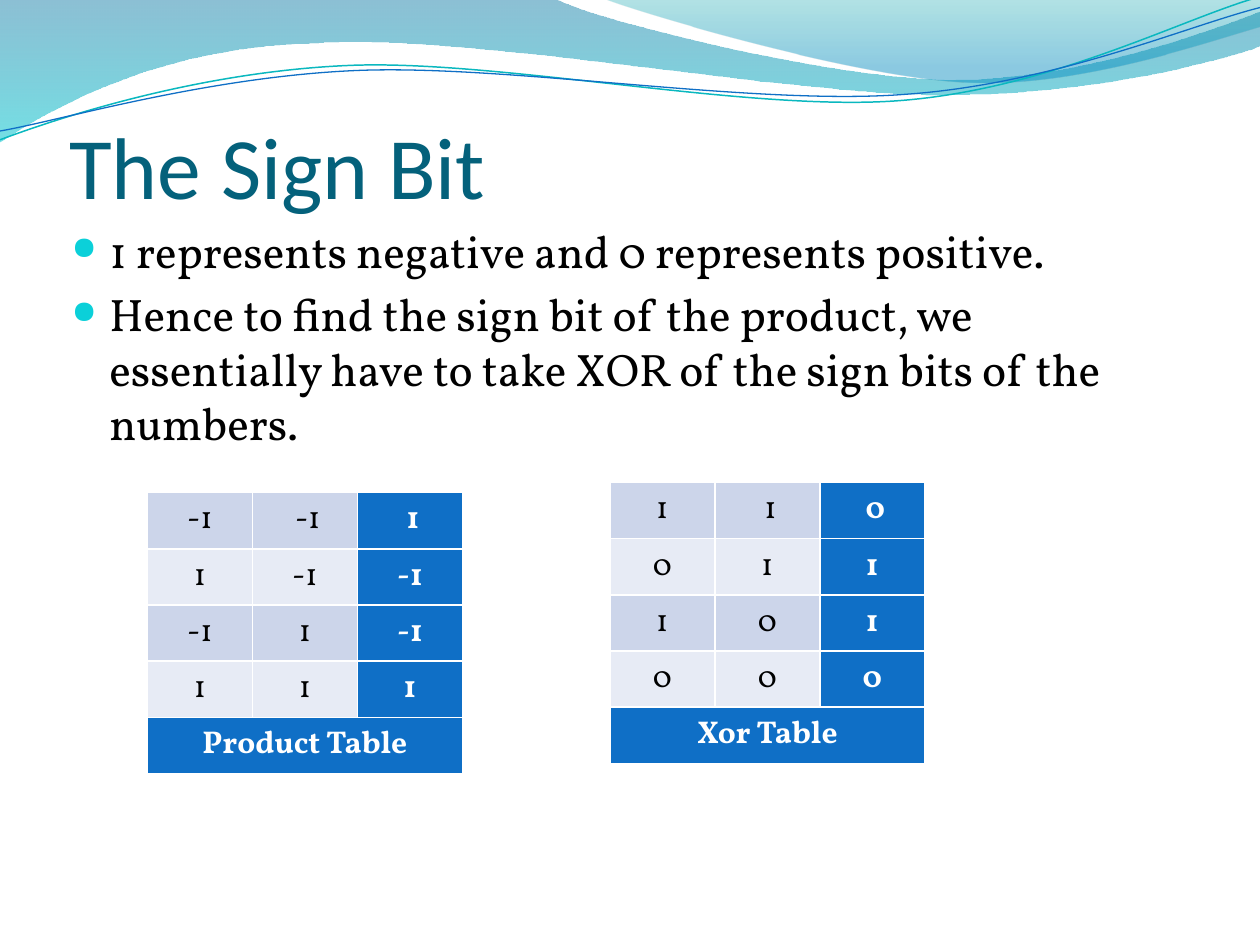
"""Build the sign bit slide: wave header, two bullets and two truth tables."""
from lxml import etree
from pptx import Presentation
from pptx.dml.color import RGBColor
from pptx.enum.text import MSO_ANCHOR, PP_ALIGN
from pptx.oxml.ns import qn
from pptx.util import Inches, Pt

BOTTOM, TOP = MSO_ANCHOR.BOTTOM, MSO_ANCHOR.TOP
CENTER = PP_ALIGN.CENTER

COLORS = {
    "title": "04617B", "text": "000000", "bullet": "0BD0D9", "white": "FFFFFF",
    "blue": "0F6FC6", "teal": "0AB8BF", "band": "CCD5EA", "pale": "E7EBF5",
    "deep": "0074A1", "aqua": "00C6CF", "sea": "00A1A9", "sky": "008BBF",
}
TITLE_FONT, BODY_FONT = "Calibri", "Vollkorn"

TITLE = "The Sign Bit"
BULLETS = [
    "1 represents negative and 0 represents positive.",
    "Hence to find the sign bit of the product, we essentially have to take "
    "XOR of the sign bits of the numbers.",
]
TABLES = [
    {"at": (1.17, 3.91), "caption": "Product Table",
     "rows": [("-1", " -1", " 1"), ("1", "-1", "-1"), ("-1", "1", "-1"), ("1", "1", "1")]},
    {"at": (4.84, 3.83), "caption": "Xor Table",
     "rows": [("1", " 1", " 0"), ("0", "1", "1"), ("1", "0", "1"), ("0", "0", "0")]},
]
TABLE_WIDTH, TABLE_HEIGHT = 2.5, 2.23

WAVES = [
    {"start": (0, 0),
     "path": [(4.4, -0.01), (4.76, 0.17, 6.64, 0.63, 7.58, 0.63),
              (8.53, 0.63, 9.58, 0.26, 10, 0.09), (10.01, 0.36),
              (9.83, 0.44, 8.7, 0.76, 7.46, 0.75), (6.22, 0.75, 3.82, 0.28, 2.57, 0.34),
              (1.29, 0.36, 0.46, 0.83, -0.01, 1.13), (0, 0)],
     "stops": [(0, "deep", 45), (1, "aqua", 55)]},
    {"start": (4.79, -0.01),
     "path": [(5.09, 0.11, 6.82, 0.62, 7.69, 0.65), (8.56, 0.69, 9.61, 0.32, 10, 0.21),
              (10, 0), (4.79, -0.01)],
     "stops": [(0, "sea", 30), (0.8, "sky", 45)]},
    {"start": (0, 1.11),
     "path": [(0.48, 0.93, 1.58, 0.57, 2.77, 0.52), (3.95, 0.47, 5.93, 0.89, 7.13, 0.8),
              (8.33, 0.71, 9.38, 0.15, 9.98, -0.02)],
     "line": ("teal", 0.85)},
    {"start": (0, 1.04),
     "path": [(0.47, 0.96, 1.64, 0.61, 2.83, 0.56), (4.03, 0.51, 5.97, 0.84, 7.17, 0.75),
              (8.36, 0.67, 9.41, 0.21, 10, 0.06)],
     "line": ("blue", 0.75)},
]


def rgb(name):
    return RGBColor.from_string(COLORS[name])


def bend_segments(shape, path):
    segments = list(shape.element.spPr.iter(qn("a:lnTo")))
    for segment, part in zip(segments, path):
        if len(part) == 2:
            continue
        curve = etree.Element(qn("a:cubicBezTo"))
        for x, y in zip(part[::2], part[1::2]):
            etree.SubElement(curve, qn("a:pt"), x=str(Inches(x) - shape.left),
                             y=str(Inches(y) - shape.top))
        segment.getparent().replace(segment, curve)


def add_wave(page, wave):
    ends = [(Inches(part[-2]), Inches(part[-1])) for part in wave["path"]]
    builder = page.shapes.build_freeform(*(Inches(value) for value in wave["start"]))
    builder.add_line_segments(ends, close="stops" in wave)
    shape = builder.convert_to_shape()
    bend_segments(shape, wave["path"])
    shape.shadow.inherit = False
    if "line" in wave:
        color, width = wave["line"]
        shape.fill.background()
        shape.line.color.rgb = rgb(color)
        shape.line.width = Pt(width)
        return
    shape.line.fill.background()
    shape.fill.gradient()
    shape.fill.gradient_angle = 270
    for stop, (position, color, _) in zip(shape.fill.gradient_stops, wave["stops"]):
        stop.position = position
        stop.color.rgb = rgb(color)
    tints = shape.element.spPr.iter(qn("a:srgbClr"))
    for tint, (_, _, opacity) in zip(tints, wave["stops"]):
        etree.SubElement(tint, qn("a:alpha"), val=str(opacity * 1000))


def add_span(para, text, font, size, color, bold=False):
    span = para.add_run()
    span.text = text
    span.font.name, span.font.size, span.font.bold = font, Pt(size), bold
    span.font.color.rgb = rgb(color)


def add_frame(page, left, top, width, height, anchor):
    box = page.shapes.add_textbox(Inches(left), Inches(top), Inches(width), Inches(height))
    frame = box.text_frame
    frame.word_wrap = True
    frame.vertical_anchor = anchor
    return frame


def add_bullet(para):
    para.space_before = Pt(5)
    props = para._p.get_or_add_pPr()
    props.set("marL", str(Inches(0.3)))
    props.set("indent", str(Inches(-0.3)))
    color = etree.SubElement(props, qn("a:buClr"))
    etree.SubElement(color, qn("a:srgbClr"), val=COLORS["bullet"])
    etree.SubElement(props, qn("a:buSzPct"), val="70000")
    etree.SubElement(props, qn("a:buChar"), char="●")


def style_cell(cell, text, fill, color, bold):
    cell.fill.solid()
    cell.fill.fore_color.rgb = rgb(fill)
    props = cell._tc.get_or_add_tcPr()
    for index, side in enumerate(("lnL", "lnR", "lnT", "lnB")):
        border = etree.Element(qn(f"a:{side}"), w=str(Pt(1)))
        solid = etree.SubElement(border, qn("a:solidFill"))
        etree.SubElement(solid, qn("a:srgbClr"), val=COLORS["white"])
        props.insert(index, border)
    if text:
        para = cell.text_frame.paragraphs[0]
        para.alignment = CENTER
        add_span(para, text, BODY_FONT, 18, color, bold)


def add_truth_table(page, content):
    rows = content["rows"] + [(content["caption"], "", "")]
    count, last = len(rows[0]), len(rows) - 1
    left, top = content["at"]
    table = page.shapes.add_table(
        len(rows), count, Inches(left), Inches(top),
        Inches(TABLE_WIDTH), Inches(TABLE_HEIGHT)).table
    table.first_row = table.horz_banding = False
    table.cell(last, 0).merge(table.cell(last, count - 1))
    for r, row in enumerate(rows):
        for c, text in enumerate(row):
            strong = r == last or c == count - 1
            fill = "blue" if strong else ("band", "pale")[r % 2]
            style_cell(table.cell(r, c), text, fill, "white" if strong else "text", strong)


def main():
    deck = Presentation()
    deck.slide_width, deck.slide_height = Inches(10), Inches(7.5)
    page = deck.slides.add_slide(deck.slide_layouts[6])
    for wave in WAVES:
        add_wave(page, wave)
    title = add_frame(page, 0.55, 0.47, 9, 1.25, BOTTOM)
    title.margin_left = title.margin_right = title.margin_bottom = 0
    add_span(title.paragraphs[0], TITLE, TITLE_FONT, 50, "title")
    body = add_frame(page, 0.47, 1.72, 9, 5.39, TOP)
    for index, text in enumerate(BULLETS):
        para = body.add_paragraph() if index else body.paragraphs[0]
        add_bullet(para)
        add_span(para, text, BODY_FONT, 26, "text")
    for content in TABLES:
        add_truth_table(page, content)
    deck.save("out.pptx")


if __name__ == "__main__":
    main()
